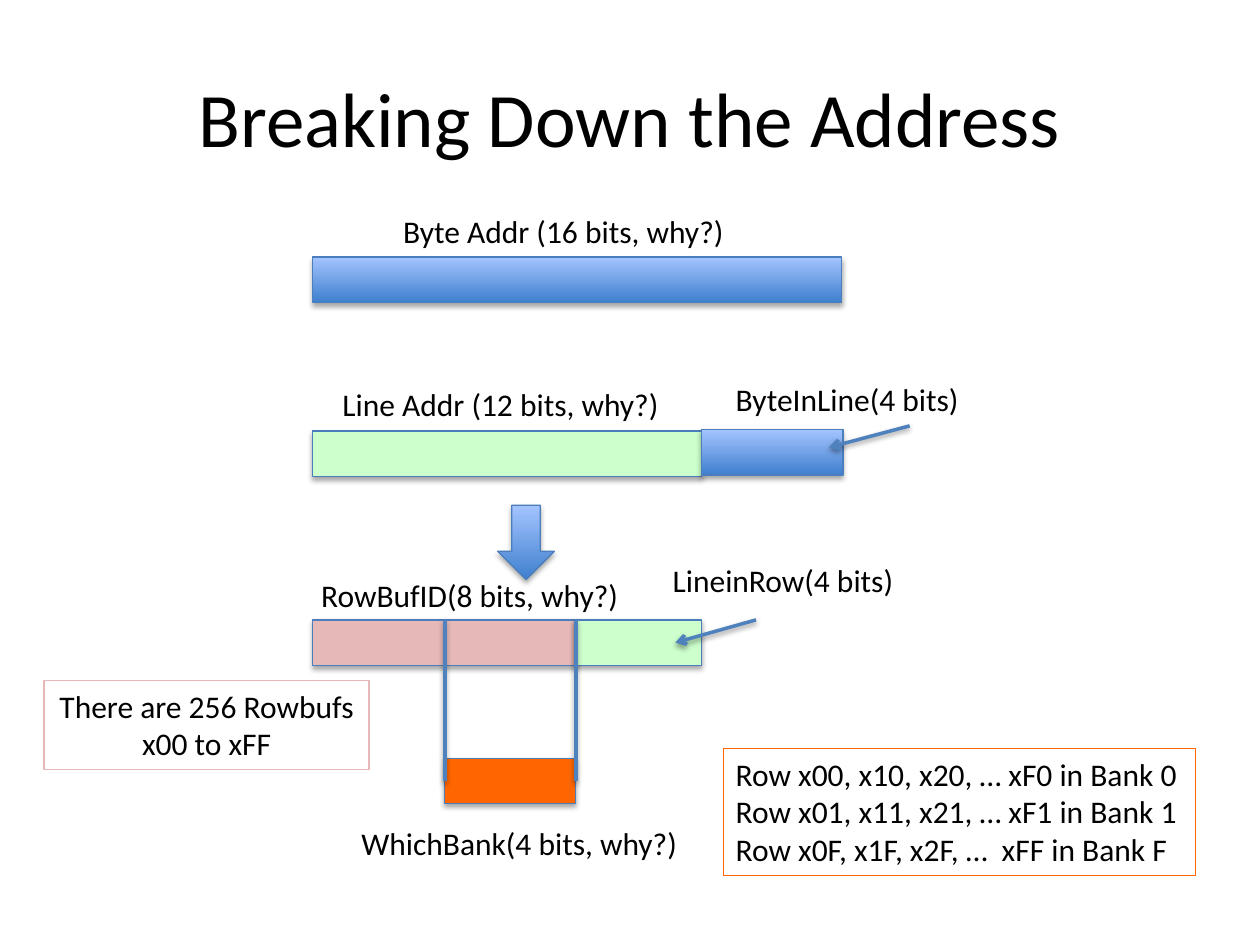
import pptx
import pptx.util
import pptx.dml.color
import pptx.enum.shapes
import pptx.enum.text
import pptx.oxml
import pptx.oxml.ns
from dataclasses import dataclass

Inches = pptx.util.Inches
Pt = pptx.util.Pt
RGB = pptx.dml.color.RGBColor.from_string
SHAPE = pptx.enum.shapes.MSO_SHAPE
ALIGN = pptx.enum.text.PP_ALIGN
ANCHOR = pptx.enum.text.MSO_ANCHOR


@dataclass(frozen=True)
class Theme:
    font: str = "Calibri"
    title: int = 44
    body: int = 18
    text: str = "000000"
    edge: str = "4B7EBC"
    link: str = "4F81BD"
    blue: tuple = ("3F80CE", "A4C4FF")
    green: str = "CCFFCC"
    pink: str = "E6B9B8"
    orange: str = "FF6600"


T = Theme()
LEFT, BAR_H = 2.48, 0.36
LINE_END, BANK_LEFT, ROW_END = 5.57, 3.53, 4.57
ROW_TOP, BANK_TOP = 4.92, 6.02

BARS = [
    (LEFT, 2.04, 4.2, T.blue),
    (LEFT, 3.42, LINE_END - LEFT, T.green),
    (LINE_END, 3.41, 1.12, T.blue),
    (LEFT, ROW_TOP, ROW_END - LEFT, T.pink),
    (ROW_END, ROW_TOP, LINE_END - ROW_END, T.green),
    (BANK_LEFT, BANK_TOP, ROW_END - BANK_LEFT, T.orange),
]
LABELS = [
    ("Byte Addr (16 bits, why?)", 3.1, 1.63, 2.78),
    ("Line Addr (12 bits, why?)", 2.62, 3.01, 2.74),
    ("ByteInLine(4 bits)", 5.74, 2.97, 1.99),
    ("RowBufID(8 bits, why?)", 2.45, 4.52, 2.59),
    ("LineinRow(4 bits)", 5.24, 4.4, 1.98),
    ("WhichBank(4 bits, why?)", 2.77, 6.49, 2.74),
]
NOTES = [
    (["There are 256 Rowbufs", "x00 to xFF"],
     (0.35, 5.4, 2.58, 0.71), T.pink, ALIGN.CENTER),
    (["Row x00, x10, x20, … xF0 in Bank 0",
      "Row x01, x11, x21, … xF1 in Bank 1",
      "Row x0F, x1F, x2F, …  xFF in Bank F"],
     (5.74, 5.94, 3.75, 1.01), T.orange, ALIGN.LEFT),
]
POINTERS = [(6, ROW_TOP, 5.36, 5.1), (7.22, 3.38, 6.58, 3.55)]
GUIDES = [(x, ROW_TOP, x, BANK_TOP + BAR_H / 2) for x in (BANK_LEFT, ROW_END)]

prs = pptx.Presentation()
prs.slide_width, prs.slide_height = Inches(10), Inches(7.5)
s = prs.slides.add_slide(prs.slide_layouts[6])


def add_shadow(sp, alpha, dist):
    spPr = sp._element.spPr
    for old in spPr.findall(pptx.oxml.ns.qn("a:effectLst")):
        spPr.remove(old)
    spPr.append(pptx.oxml.parse_xml(
        f'<a:effectLst {pptx.oxml.ns.nsdecls("a")}>'
        f'<a:outerShdw blurRad="{Pt(3.1)}" dist="{Pt(dist)}" dir="5400000" rotWithShape="0">'
        f'<a:srgbClr val="000000"><a:alpha val="{alpha * 1000}"/></a:srgbClr>'
        '</a:outerShdw></a:effectLst>'))


def add_text(lines, box, size=T.body, align=ALIGN.LEFT, anchor=ANCHOR.TOP,
             wrap=False, border=None):
    sp = s.shapes.add_textbox(*map(Inches, box))
    if border:
        sp.line.color.rgb = RGB(border)
        sp.line.width = Pt(0.75)
    tf = sp.text_frame
    tf.word_wrap = wrap
    tf.vertical_anchor = anchor
    for i, line in enumerate(lines):
        p = tf.paragraphs[0] if i == 0 else tf.add_paragraph()
        p.alignment = align
        r = p.add_run()
        r.text = line
        r.font.name, r.font.size = T.font, Pt(size)
        r.font.color.rgb = RGB(T.text)


def add_block(kind, box, fill):
    sp = s.shapes.add_shape(kind, *map(Inches, box))
    if isinstance(fill, tuple):
        sp.fill.gradient()
        sp.fill.gradient_angle = 90
        for stop, position, color in zip(sp.fill.gradient_stops, (0, 1), fill):
            stop.position = position
            stop.color.rgb = RGB(color)
    else:
        sp.fill.solid()
        sp.fill.fore_color.rgb = RGB(fill)
    sp.line.color.rgb = RGB(T.edge)
    sp.line.width = Pt(0.75)
    add_shadow(sp, 35, 1.8)


def add_line(ends, arrow=False):
    sp = s.shapes.add_connector(
        pptx.enum.shapes.MSO_CONNECTOR.STRAIGHT, *map(Inches, ends))
    sp.line.color.rgb = RGB(T.link)
    sp.line.width = Pt(2)
    if arrow:
        sp.line._get_or_add_ln().append(pptx.oxml.parse_xml(
            f'<a:tailEnd {pptx.oxml.ns.nsdecls("a")} type="arrow"/>'))
    add_shadow(sp, 38, 1.6)


add_text(["Breaking Down the Address"], (0.5, 0.3, 9, 1.25), size=T.title,
         align=ALIGN.CENTER, anchor=ANCHOR.MIDDLE, wrap=True)
for x, y, w, fill in BARS:
    add_block(SHAPE.RECTANGLE, (x, y, w, BAR_H), fill)
add_block(SHAPE.DOWN_ARROW, (3.95, 4.01, 0.45, 0.59), T.blue)
for label, x, y, w in LABELS:
    add_text([label], (x, y, w, 0.4))
for ends in GUIDES:
    add_line(ends)
for ends in POINTERS:
    add_line(ends, arrow=True)
for lines, box, border, align in NOTES:
    add_text(lines, box, align=align, border=border)

prs.save("out.pptx")
